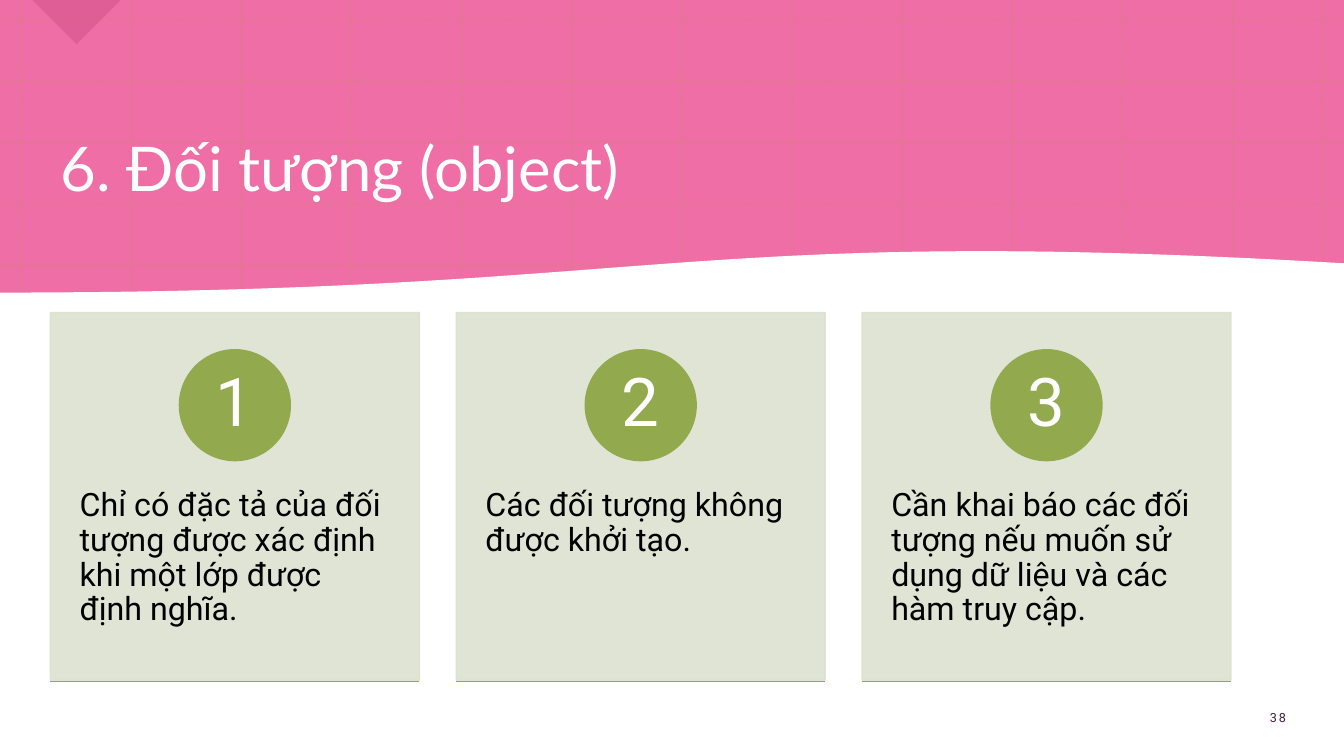
"""Builds the slide on objects: a pink wave header over three numbered cards."""
from lxml import etree
from pptx import Presentation
from pptx.dml.color import RGBColor
from pptx.enum.dml import MSO_LINE
from pptx.enum.shapes import MSO_CONNECTOR, MSO_SHAPE
from pptx.enum.text import MSO_ANCHOR, MSO_AUTO_SIZE, PP_ALIGN
from pptx.oxml.ns import qn
from pptx.util import Inches, Pt

TITLE = "6. Đối tượng (object)"
PAGE_NUMBER = "38"
CARDS = [
    "Chỉ có đặc tả của đối tượng được xác định khi một lớp được định nghĩa.",
    "Các đối tượng không được khởi tạo.",
    "Cần khai báo các đối tượng nếu muốn sử dụng dữ liệu và các hàm truy cập.",
]
COLORS = {
    "pink": "EE6EA5", "grid": "B6A03C", "corner": "9C124D", "white": "FFFFFF",
    "card": "DCE2D0", "green": "93A94E", "ink": "000000", "page": "3B213A",
}

STRAIGHT = MSO_CONNECTOR.STRAIGHT
RECTANGLE, OVAL, CORNER = MSO_SHAPE.RECTANGLE, MSO_SHAPE.OVAL, MSO_SHAPE.RIGHT_TRIANGLE
DOTTED = MSO_LINE.ROUND_DOT
TOP, MIDDLE = MSO_ANCHOR.TOP, MSO_ANCHOR.MIDDLE
LEFT, CENTER = PP_ALIGN.LEFT, PP_ALIGN.CENTER

SLIDE_W, SLIDE_H = 13.33, 7.5
GRID_TOP, GRID_ROW_STEP, GRID_ROWS = 0.19, 0.61, 5
GRID_LEFT, GRID_COLUMN_END, GRID_COLUMNS, GRID_RIGHT = 0.21, 12.23, 12, 13.12
WAVE = [(-0.01, 2.91), (6.65, 2.91), (6.69, 2.23), (13.34, 2.62)]
WAVE_STEPS = 60
CARD_LEFT, CARD_TOP, CARD_W, CARD_H, CARD_STEP = 0.5, 3.1, 3.66, 3.65, 4.025
CIRCLE_TOP, CIRCLE_SIZE = 3.47, 1.1
RULE_Y = 6.76


def paint(color_format, color, alpha=100):
    """Set a colour and, when below 100, its opacity in percent."""
    color_format.rgb = RGBColor.from_string(COLORS[color])
    if alpha < 100:
        parent = color_format._xFill
        tint = etree.SubElement(parent.find(qn("a:srgbClr")), qn("a:alpha"))
        tint.set("val", str(alpha * 1000))


def style_shape(shape, color, alpha=100, outlined=True):
    """Fill a shape and give it a matching outline."""
    shape.shadow.inherit = False
    shape.fill.solid()
    paint(shape.fill.fore_color, color, alpha)
    if outlined:
        shape.line.width = Pt(1)
        shape.line.fill.solid()
        paint(shape.line.color, color, alpha)
    else:
        shape.line.fill.background()


def add_block(shapes, kind, box, color, **style):
    """Add a coloured preset shape."""
    shape = shapes.add_shape(kind, *map(Inches, box))
    style_shape(shape, color, **style)
    return shape


def add_rule(shapes, ends, color, width, alpha=100, dash=None):
    """Add a straight line without a shadow."""
    rule = shapes.add_connector(STRAIGHT, *map(Inches, ends))
    rule.line.width = Pt(width)
    rule.line.fill.solid()
    paint(rule.line.color, color, alpha)
    if dash:
        rule.line.dash_style = dash
    etree.SubElement(rule._element.spPr, qn("a:effectLst"))
    return rule


def write(shape, text, size, font_name, color, align=LEFT, anchor=TOP,
          insets=(0.1, 0.05), line_spacing=0.9):
    """Put one formatted paragraph into a shape."""
    frame = shape.text_frame
    frame.text = text
    paragraph = frame.paragraphs[0]
    side, edge = map(Inches, insets)
    formats = [
        (frame, {"word_wrap": True, "auto_size": MSO_AUTO_SIZE.NONE, "vertical_anchor": anchor,
                 "margin_left": side, "margin_right": side,
                 "margin_top": edge, "margin_bottom": edge}),
        (paragraph, {"alignment": align, "line_spacing": line_spacing}),
        (paragraph.runs[0].font, {"size": Pt(size), "name": font_name}),
    ]
    for target, values in formats:
        for attribute, value in values.items():
            setattr(target, attribute, value)
    paint(paragraph.runs[0].font.color, color)
    return paragraph.runs[0]


def wave_point(t):
    """Return the point of the wave's Bezier curve at t."""
    weights = ((1 - t) ** 3, 3 * t * (1 - t) ** 2, 3 * t * t * (1 - t), t ** 3)
    return tuple(Inches(sum(w * point[axis] for w, point in zip(weights, WAVE)))
                 for axis in (0, 1))


def add_header(shapes):
    """Draw the pink ground, its dotted grid, the corner and the white wave."""
    add_block(shapes, RECTANGLE, (0, 0, SLIDE_W, SLIDE_H), "pink", outlined=False)
    column_step = (GRID_COLUMN_END - GRID_LEFT) / (GRID_COLUMNS - 1)
    columns = [GRID_LEFT + i * column_step for i in range(GRID_COLUMNS)] + [GRID_RIGHT]
    rows = [GRID_TOP + i * GRID_ROW_STEP for i in range(GRID_ROWS)]
    grid = [(x, 0, x, SLIDE_H) for x in columns] + [(0, y, SLIDE_W, y) for y in rows]
    for ends in grid:
        add_rule(shapes, ends, "grid", 1.5, alpha=20, dash=DOTTED)
    corner = add_block(shapes, CORNER, (0.45, -0.31, 0.62, 0.62), "corner",
                       alpha=17, outlined=False)
    corner.rotation = 315

    curve = [wave_point(i / WAVE_STEPS) for i in range(WAVE_STEPS + 1)]
    floor = [(Inches(x), Inches(SLIDE_H)) for x in (WAVE[-1][0], WAVE[0][0])]
    builder = shapes.build_freeform(*curve[0])
    builder.add_line_segments(curve[1:] + floor, close=True)
    style_shape(builder.convert_to_shape(), "white")


def add_card(shapes, index, text):
    """Draw one card with its number, text and bottom rule."""
    left = CARD_LEFT + index * CARD_STEP
    add_block(shapes, RECTANGLE, (left, CARD_TOP, CARD_W, CARD_H), "card", alpha=90)
    body = shapes.add_textbox(*map(Inches, (left, 4.49, CARD_W, 2.19)))
    write(body, text, 23, "Roboto", "ink", insets=(0.29, 0.36))
    circle_left = left + (CARD_W - CIRCLE_SIZE) / 2
    circle = add_block(shapes, OVAL, (circle_left, CIRCLE_TOP, CIRCLE_SIZE, CIRCLE_SIZE), "green")
    write(circle, str(index + 1), 48, "Roboto", "white", CENTER, MIDDLE, (0.09, 0.01))
    add_rule(shapes, (left, RULE_Y, left + CARD_W, RULE_Y), "green", 1)


def main():
    """Build and save the slide."""
    deck = Presentation()
    deck.slide_width, deck.slide_height = Inches(SLIDE_W), Inches(SLIDE_H)
    slide = deck.slides.add_slide(deck.slide_layouts[5])
    shapes = slide.shapes
    add_header(shapes)

    title = shapes.title
    title.left, title.top, title.width, title.height = map(Inches, (0.5, 0.79, 11.75, 1.83))
    write(title, TITLE, 44, "Lato", "white", anchor=MIDDLE)
    shapes._spTree.append(title._element)

    page = shapes.add_textbox(*map(Inches, (12.24, 6.92, 0.87, 0.4)))
    page_run = write(page, PAGE_NUMBER, 9, "Roboto", "page", CENTER, MIDDLE, line_spacing=1.0)
    page_run.font._element.set("spc", "150")

    for index, text in enumerate(CARDS):
        add_card(shapes, index, text)
    deck.save("out.pptx")


if __name__ == "__main__":
    main()
